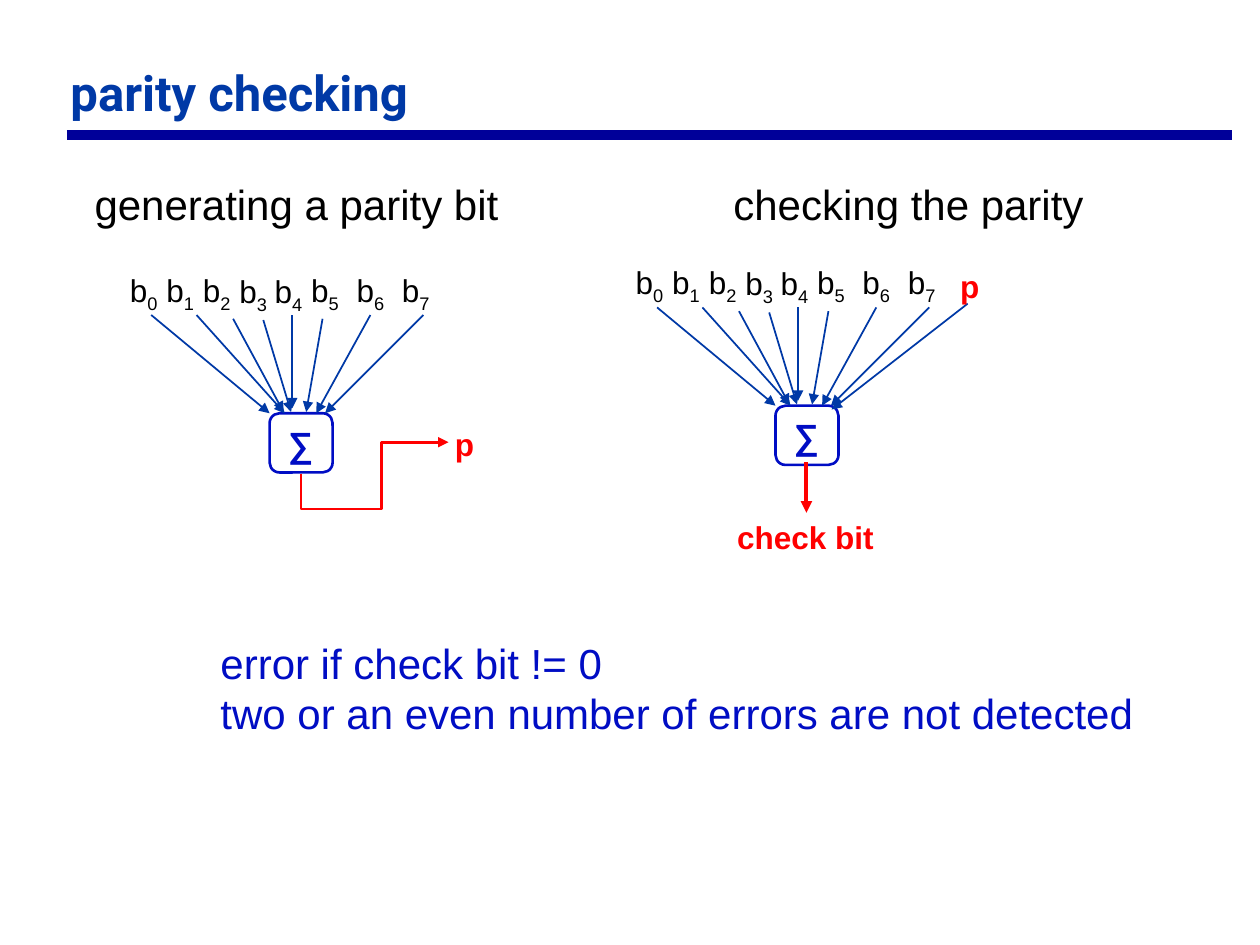
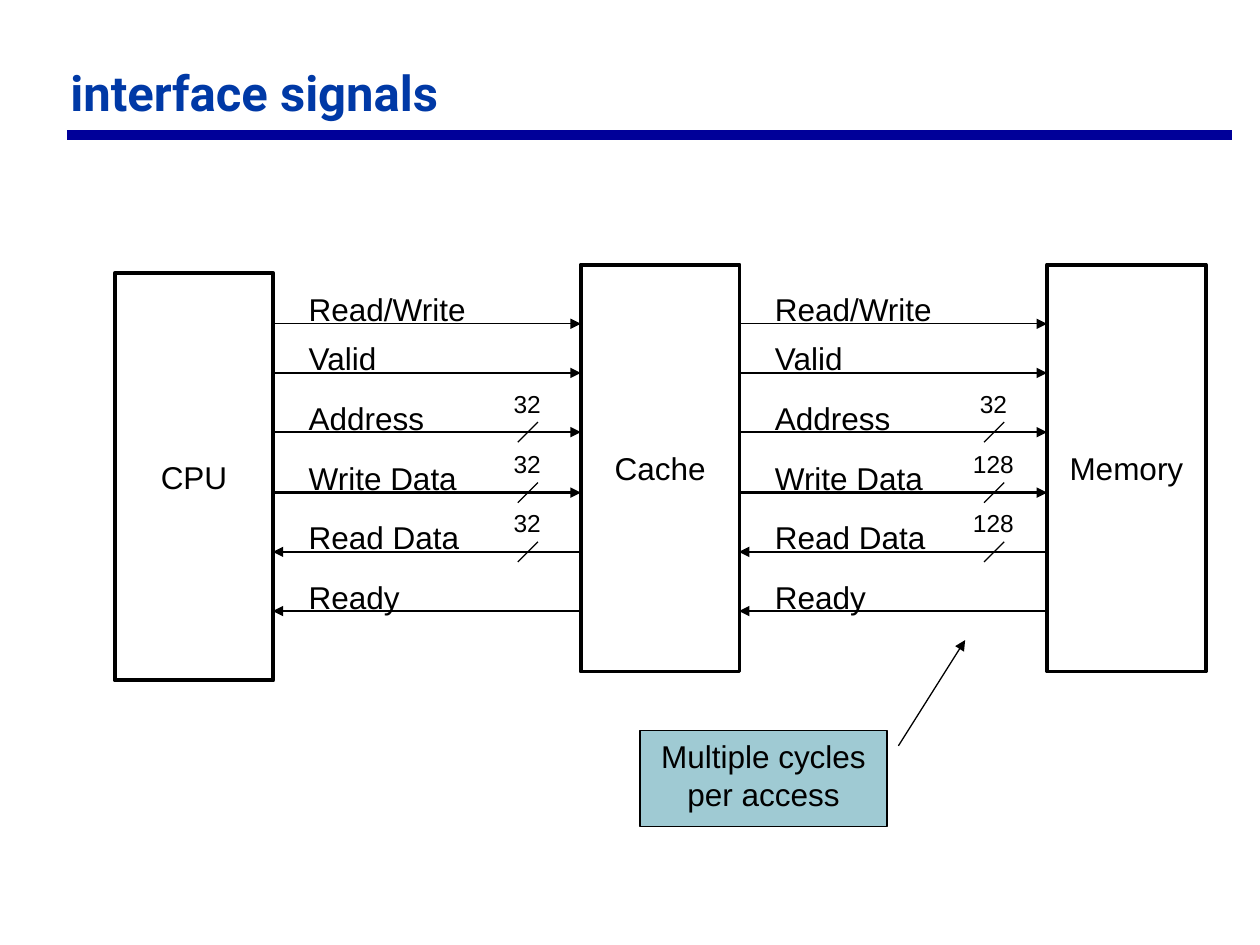
from dataclasses import dataclass
from typing import NamedTuple, Optional

from lxml import etree
from pptx import Presentation
from pptx.dml.color import RGBColor
from pptx.enum.shapes import MSO_CONNECTOR, MSO_SHAPE
from pptx.enum.text import MSO_ANCHOR, MSO_AUTO_SIZE, PP_ALIGN
from pptx.oxml.ns import qn
from pptx.util import Inches, Pt

STRAIGHT = MSO_CONNECTOR.STRAIGHT
RECT, ROUND = MSO_SHAPE.RECTANGLE, MSO_SHAPE.ROUNDED_RECTANGLE
TOP, MIDDLE, BOTTOM = MSO_ANCHOR.TOP, MSO_ANCHOR.MIDDLE, MSO_ANCHOR.BOTTOM
LEFT, CENTER = PP_ALIGN.LEFT, PP_ALIGN.CENTER
GROW, FIXED = MSO_AUTO_SIZE.SHAPE_TO_FIT_TEXT, MSO_AUTO_SIZE.NONE

WIDTH, HEIGHT = Inches(10), Inches(7.5)
COLS, ROWS = 100, 75
INSET = 0.5

COLORS = {
    "black": "000000",
    "title": "0039A6",
    "band": "000099",
    "blue": "000DC4",
    "red": "FF0000",
    "note": "9FCAD3",
}


class Point(NamedTuple):
    x: float
    y: float


class Box(NamedTuple):
    x: float
    y: float
    w: float
    h: float


class Wire(NamedTuple):
    start: Point
    end: Point


@dataclass(frozen=True)
class Run:
    text: str
    size: float = 18
    color: str = "black"
    bold: bool = False
    font: str = "Arial"
    sub: bool = False


@dataclass(frozen=True)
class Signal:
    name: str
    row: float
    width: float
    back: bool = False
    bits: tuple[str, ...] = ()


@dataclass(frozen=True)
class Block:
    name: str
    col: float
    row: float
    width: float


BITS = [Point(9.8, 21), Point(12.7, 21), Point(15.6, 21), Point(18.5, 21.1),
        Point(21.3, 21.1), Point(24.2, 21), Point(27.8, 21), Point(31.4, 21)]
WIRES = [
    Wire(Point(12, 25), Point(21.4, 32.8)),
    Wire(Point(15.6, 25), Point(22.6, 32.8)),
    Wire(Point(18.5, 25.3), Point(22.5, 32.7)),
    Wire(Point(20.9, 25.4), Point(23.1, 32.7)),
    Wire(Point(23.2, 25), Point(23.2, 32.4)),
    Wire(Point(25.6, 25.3), Point(24.3, 32.7)),
    Wire(Point(29.4, 25), Point(25.1, 32.8)),
    Wire(Point(33.6, 25), Point(25.8, 32.8)),
]
LOOP = [Point(23.9, 37.6), Point(23.9, 40.4), Point(30.3, 40.4),
        Point(30.3, 35.1), Point(35.6, 35.1)]

STEP = 37
BLOCKS = [Block("CPU", 9.1, 21.7, 6.4), Block("Cache", 46.1, 21, 8.4),
          Block("Memory", 83.1, 21, 10.2)]
SIGNALS = [
    Signal("Read/Write", 25.7, 13.6),
    Signal("Valid", 29.6, 6.5),
    Signal("Address", 34.3, 10.3, bits=("32", "32")),
    Signal("Write Data", 39.1, 12.9, bits=("32", "128")),
    Signal("Read Data", 43.8, 13.1, True, ("32", "128")),
    Signal("Ready", 48.5, 8.4, True),
]


def col(n: float) -> int:
    return round(WIDTH * n / COLS)


def row(n: float) -> int:
    return round(HEIGHT * n / ROWS)


def frame(box: Box) -> tuple[int, int, int, int]:
    return col(box.x), row(box.y), col(box.w), row(box.h)


def paint(name: str) -> RGBColor:
    return RGBColor.from_string(COLORS[name])


def stroke(shape, color: str, width: float, arrow: bool = False) -> None:
    shape.line.color.rgb = paint(color)
    shape.line.width = Pt(width)
    if arrow:
        tip = etree.SubElement(shape.line._get_or_add_ln(), qn("a:tailEnd"))
        tip.set("type", "triangle")


def write(slide, box: Box, lines: list[list[Run]], align=LEFT, anchor=TOP,
          size=GROW) -> None:
    body = slide.shapes.add_textbox(*frame(box)).text_frame
    body.word_wrap = True
    body.auto_size = size
    body.vertical_anchor = anchor
    body.margin_left = body.margin_right = col(INSET)
    body.margin_top = body.margin_bottom = row(INSET)
    for i, line in enumerate(lines):
        para = body.paragraphs[0] if i == 0 else body.add_paragraph()
        para.alignment = align
        for item in line:
            run = para.add_run()
            run.text = item.text
            run.font.name = item.font
            run.font.size = Pt(item.size)
            run.font.bold = item.bold
            run.font.color.rgb = paint(item.color)
            if item.sub:
                run._r.get_or_add_rPr().set("baseline", "-25000")


def label(slide, box: Box, *runs: Run, align=LEFT, anchor=TOP, size=GROW) -> None:
    write(slide, box, [list(runs)], align, anchor, size)


def panel(slide, box: Box, color: str, width: float,
          fill: Optional[str] = None, kind=RECT) -> None:
    shape = slide.shapes.add_shape(kind, *frame(box))
    shape.shadow.inherit = False
    if fill:
        shape.fill.solid()
        shape.fill.fore_color.rgb = paint(fill)
    else:
        shape.fill.background()
    stroke(shape, color, width)


def draw(slide, start: Point, end: Point, color: str = "black",
         width: float = 0.75, arrow: bool = True) -> None:
    line = slide.shapes.add_connector(
        STRAIGHT, col(start.x), row(start.y), col(end.x), row(end.y))
    stroke(line, color, width, arrow)
    etree.SubElement(line._element.spPr, qn("a:effectLst"))


def trace(slide, points: list[Point], color: str, width: float) -> None:
    spots = [(col(p.x), row(p.y)) for p in points]
    pen = slide.shapes.build_freeform(*spots[0])
    pen.add_line_segments(spots[1:], close=False)
    shape = pen.convert_to_shape()
    shape.shadow.inherit = False
    shape.fill.background()
    stroke(shape, color, width, arrow=True)


def start_slide(deck, title: str):
    slide = deck.slides.add_slide(deck.slide_layouts[6])
    draw(slide, Point(5.3, 10.7), Point(97.8, 10.7), "band", 6, False)
    label(slide, Box(5.1, 4.4, 90.3, 5.7), Run(title, 28, "title", True, "Roboto"),
          anchor=BOTTOM, size=FIXED)
    return slide


def adder(slide, dx: float = 0, dy: float = 0) -> None:
    for i, bit in enumerate(BITS):
        label(slide, Box(bit.x + dx, bit.y + dy, 3.5, 4.3),
              Run("b"), Run(str(i), sub=True))
    panel(slide, Box(21.4 + dx, 32.8 + dy, 5, 4.7), "blue", 1.5, kind=ROUND)
    label(slide, Box(21.6 + dx, 33 + dy, 4.5, 4.1),
          Run("∑", 20, "blue", True), align=CENTER)
    for wire in WIRES:
        a, b = (Point(p.x + dx, p.y + dy) for p in wire)
        draw(slide, a, b, "title", 1)


def parity(deck) -> None:
    slide = start_slide(deck, "parity checking")
    label(slide, Box(7, 13.7, 33.2, 4.8), Run("generating a parity bit", 24))
    label(slide, Box(57.7, 13.7, 28.9, 4.8), Run("checking the parity", 24))
    adder(slide)
    trace(slide, LOOP, "red", 1.5)
    adder(slide, 40.15, -0.6)
    draw(slide, Point(76.8, 24.1), Point(66, 32.5), "title", 1)
    draw(slide, Point(64, 36.7), Point(64, 40.7), "red", 2.25)
    for spot in (Point(35.6, 33.2), Point(75.7, 20.7)):
        label(slide, Box(spot.x, spot.y, 2.7, 3.8), Run("p", color="red", bold=True))
    label(slide, Box(58, 40.6, 12, 3.8), Run("check bit", color="red", bold=True))
    write(slide, Box(17, 50.1, 73.6, 8.7), [
        [Run("error if check bit != 0", 24, "blue")],
        [Run("two or an even number of errors are not detected", 24, "blue")],
    ])


def link(slide, signal: Signal, lane: int) -> None:
    dx, y = lane * STEP, signal.row
    ends = [Point(21.65 + dx, y), Point(46.1 + dx, y)]
    if signal.back:
        ends.reverse()
    draw(slide, *ends, width=1.5 if signal.bits else 0.75)
    label(slide, Box(24 + dx, y - 3.15, signal.width, 3.8), Run(signal.name))
    if signal.bits:
        count = signal.bits[lane]
        wide = 1.1 * (len(count) + 1)
        draw(slide, Point(41.1 + dx, y + 0.8), Point(42.7 + dx, y - 0.8), arrow=False)
        label(slide, Box(41.85 + dx - wide / 2, y - 3.95, wide, 3.2),
              Run(count, 14), align=CENTER)


def signals(deck) -> None:
    slide = start_slide(deck, "interface signals")
    for block in BLOCKS:
        panel(slide, Box(block.col, block.row, 12.6, 32.3), "black", 2.25)
        label(slide, Box(block.col + 6.3 - block.width / 2, block.row + 14.25,
                         block.width, 3.8),
              Run(block.name), align=CENTER, anchor=MIDDLE)
    for lane in range(len(BLOCKS) - 1):
        for signal in SIGNALS:
            link(slide, signal, lane)
    panel(slide, Box(50.8, 58, 19.6, 7.6), "black", 0.75, "note")
    label(slide, Box(50.8, 58, 19.6, 6.8),
          Run("Multiple cycles per access"), align=CENTER)
    draw(slide, Point(71.3, 59.2), Point(76.6, 50.8))


def main() -> None:
    deck = Presentation()
    deck.slide_width, deck.slide_height = WIDTH, HEIGHT
    parity(deck)
    signals(deck)
    deck.save("out.pptx")


if __name__ == "__main__":
    main()
